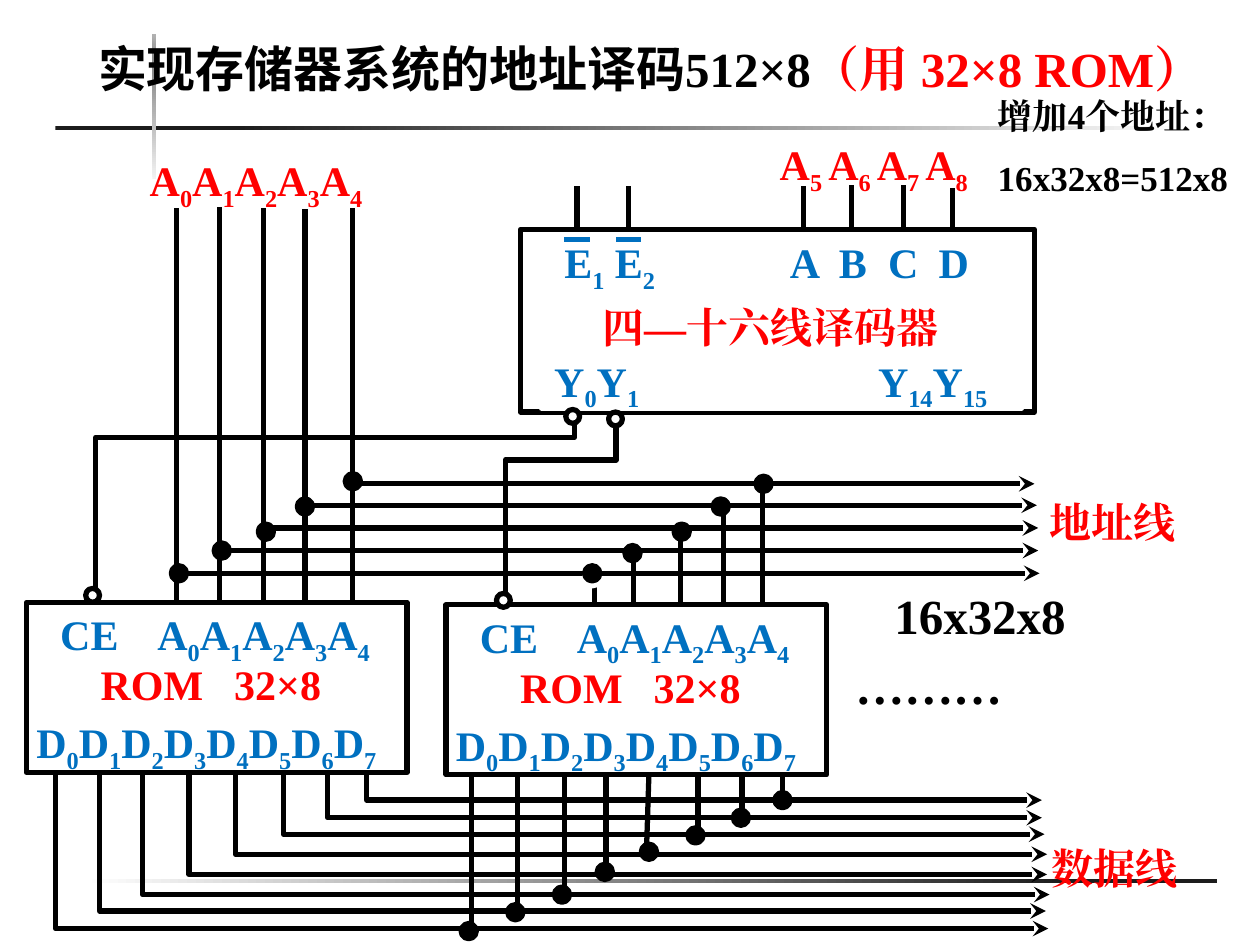
from lxml import etree
from pptx import Presentation
from pptx.dml.color import RGBColor
from pptx.enum.shapes import MSO_CONNECTOR, MSO_SHAPE
from pptx.enum.text import MSO_ANCHOR
from pptx.oxml.ns import qn
from pptx.util import Pt

PX = 9144  # 100 px to the inch
RECTANGLE, OVAL = MSO_SHAPE.RECTANGLE, MSO_SHAPE.OVAL
STRAIGHT = MSO_CONNECTOR.STRAIGHT
TOP, BOTTOM = MSO_ANCHOR.TOP, MSO_ANCHOR.BOTTOM
BLACK, WHITE, RED, BLUE = "000000", "FFFFFF", "FF0000", "0070C0"
SERIF, SANS = "Times New Roman", "Noto Sans CJK SC"

# Content: left, top, width, height, then gradient stops and angle
RULES = [
    (66, 698, 900, 3, [(0, WHITE), (87, "1C1C1C")], 0),
    (44, 100, 900, 3, [(16, "1C1C1C"), (100, WHITE)], 0),
    (121, 27, 3, 115, [(0, "F2F2F2"), (74, "8C8C8C"), (83, "8C8C8C"), (100, "B2B2B2")], 90),
]
TITLE = [("实现存储器系统的地址译码", BLACK, SANS), ("512×8", BLACK, SERIF),
         ("（用 32×8 ROM）", RED, SERIF)]

# Labels: left, top, width, height, text, size, colour, tab stops
# Every second part between bars is a subscript
DECODER = (413, 182, 408, 145)
DECODER_LABELS = [
    (468, 231, 298, 50, "四—十六线译码器", 24, RED, []),
    (438, 180, 365, 50, "E|1| E|2|\tA\tB\tC\tD", 24, BLUE, [179, 218, 257, 297]),
]
DECODER_OUTPUTS = (430, 274, 381, 50, "Y|0|Y|1|\tY|14|Y|15", 24, BLUE, [257])
MORE_ROMS = (669, 512, 161, 57, "………", 28, BLACK, [])
ROM = (21, 478, 302, 135)
ROM_LABELS = [
    (38, 475, 276, 50, "CE\tA|0|A|1|A|2|A|3|A|4", 24, BLUE, [77]),
    (70, 515, 216, 50, "ROM\t32×8", 24, RED, [106]),
    (19, 561, 310, 50, "D|0|D|1|D|2|D|3|D|4|D|5|D|6|D|7", 24, BLUE, []),
]
ROM_OFFSETS = [(0, 0), (333, 2)]
OUTER_LABELS = [
    (109, 115, 220, 50, "A|0|A|1|A|2|A|3|A|4", 24, RED, []),
    (609, 102, 194, 50, "A|5 |A|6 |A|7 |A|8", 24, RED, []),
    (823, 386, 135, 50, "地址线", 24, RED, []),
    (825, 661, 135, 50, "数据线", 24, RED, []),
    (700, 457, 221, 57, "16x32x8", 28, BLACK, []),
    (782, 67, 218, 94, "增加4个地址：\n16x32x8=512x8", 20, BLACK, []),
]

# Wiring
OVERLINES = [448, 489]
DECODER_PINS = [(458, 148), (499, 148), (638, 148), (676, 147), (717, 147), (756, 149)]
# Riser x, riser top, bus start, bus y, bus end, tap x, tap bottom
ADDRESS_WIRES = [
    (140, 165, 140, 455, 825, 472, 482),
    (174, 164, 175, 437, 824, 503, 480),
    (209, 165, 211, 419, 824, 540, 478),
    (242, 166, 242, 401, 823, 574, 482),
    (280, 165, 283, 384, 821, 605, 480),
]
# Outlet x, bus y, bus end, tap top x, tap bottom x
DATA_WIRES = [
    (291, 635, 827, 621, 621), (260, 649, 827, 589, 589),
    (225, 662, 829, 554, 554), (187, 678, 831, 515, 513),
    (150, 694, 831, 481, 481), (113, 710, 833, 448, 448),
    (79, 723, 830, 411, 411), (44, 737, 832, 374, 374),
]
SELECT_WIRES = [
    [(456, 327), (456, 347), (76, 347), (76, 476)],
    [(489, 327), (489, 365), (401, 365), (401, 482)],
]
TAP_GAP = (464, 453)
DOTS = [
    (136, 449), (170, 431), (205, 416), (236, 396), (274, 376),
    (464, 449), (496, 433), (535, 416), (566, 396), (600, 378),
    (366, 733), (403, 718), (440, 704), (474, 686),
    (509, 670), (546, 657), (582, 643), (615, 629),
]
RINGS = [(449, 325), (483, 327), (68, 467), (394, 471)]


def rgb(value):
    return RGBColor.from_string(value)


def emu(*lengths):
    return [int(length * PX) for length in lengths]


def set_line(shape, color, arrow=False):
    shape.line.color.rgb = rgb(color)
    shape.line.width = Pt(3)
    if arrow:
        etree.SubElement(shape.line._get_or_add_ln(), qn("a:tailEnd"), type="stealth")


def add_box(slide, kind, box, fill=None, line=None):
    shape = slide.shapes.add_shape(kind, *emu(*box))
    shape.shadow.inherit = False
    if fill:
        shape.fill.solid()
        shape.fill.fore_color.rgb = rgb(fill)
    else:
        shape.fill.background()
    if line:
        set_line(shape, line)
    else:
        shape.line.fill.background()
    return shape


def add_rule(slide, left, top, width, height, stops, angle):
    shape = add_box(slide, RECTANGLE, (left, top, width, height))
    shape.fill.gradient()
    shape.fill.gradient_angle = angle
    stop_list = next(shape._element.spPr.iter(qn("a:gsLst")))
    for child in list(stop_list):
        stop_list.remove(child)
    for position, color in stops:
        stop = etree.SubElement(stop_list, qn("a:gs"), pos=str(position * 1000))
        etree.SubElement(stop, qn("a:srgbClr"), val=color)


def add_wire(slide, start, end, color=BLACK, arrow=False):
    wire = slide.shapes.add_connector(STRAIGHT, *emu(*start, *end))
    set_line(wire, color, arrow)
    etree.SubElement(wire._element.spPr, qn("a:effectLst"))


def add_bent_wire(slide, points, arrow=False):
    builder = slide.shapes.build_freeform(*points[0], scale=PX)
    builder.add_line_segments(points[1:], close=False)
    shape = builder.convert_to_shape()
    shape.shadow.inherit = False
    shape.fill.background()
    set_line(shape, BLACK, arrow)


def add_run(paragraph, text, size, color, font=SERIF, subscript=False):
    run = paragraph.add_run()
    run.text = text
    formats = {"size": Pt(size), "bold": True, "name": font}
    for name, value in formats.items():
        setattr(run.font, name, value)
    run.font.color.rgb = rgb(color)
    properties = run.font._element
    etree.SubElement(properties, qn("a:ea"), typeface=font)
    if subscript:
        properties.set("baseline", "-25000")


def add_label(slide, left, top, width, height, text, size, color, tabs, outline=None):
    box = (left, top, width, height)
    if outline:
        shape = add_box(slide, RECTANGLE, box, line=outline)
    else:
        shape = slide.shapes.add_textbox(*emu(*box))
    frame = shape.text_frame
    formats = {"word_wrap": True, "vertical_anchor": TOP,
               "margin_top": 8 * PX, "margin_bottom": 2 * PX}
    for name, value in formats.items():
        setattr(frame, name, value)
    for index, line in enumerate(text.split("\n")):
        paragraph = frame.add_paragraph() if index else frame.paragraphs[0]
        properties = paragraph._p.get_or_add_pPr()
        properties.set("algn", "l")
        if index:
            paragraph.space_before = Pt(11.5)
        if tabs:
            tab_list = etree.SubElement(properties, qn("a:tabLst"))
            for position in tabs:
                etree.SubElement(tab_list, qn("a:tab"), pos=str(position * PX), algn="l")
        for part_index, part in enumerate(line.split("|")):
            add_run(paragraph, part, size, color, subscript=part_index % 2 == 1)


def main():
    presentation = Presentation()
    presentation.slide_width, presentation.slide_height = emu(1000, 750)
    slide = presentation.slides.add_slide(presentation.slide_layouts[6])

    # Background rules and title
    for rule in RULES:
        add_rule(slide, *rule)
    title = slide.shapes.add_textbox(*emu(68, 26, 947, 56)).text_frame
    title.word_wrap = True
    title.vertical_anchor = BOTTOM
    for text, color, font in TITLE:
        add_run(title.paragraphs[0], text, 28, color, font)

    # Decoder
    add_box(slide, RECTANGLE, DECODER, line=BLACK)
    add_label(slide, *DECODER_OUTPUTS, outline=WHITE)
    for label in DECODER_LABELS:
        add_label(slide, *label)
    for x in OVERLINES:
        add_wire(slide, (x, 190), (x + 20, 190), BLUE)
    for x, top in DECODER_PINS:
        add_wire(slide, (x, top + 35), (x, top))

    # ROM chips
    for dx, dy in ROM_OFFSETS:
        left, top, width, height = ROM
        add_box(slide, RECTANGLE, (left + dx, top + dy, width, height), line=BLACK)
        for left, top, *rest in ROM_LABELS:
            add_label(slide, left + dx, top + dy, *rest)
    add_label(slide, *MORE_ROMS, outline=WHITE)

    # Address, select and data wires
    for x, top, start, bus, end, tap, bottom in ADDRESS_WIRES:
        add_wire(slide, (x, 476), (x, top))
        add_wire(slide, (start, bus), (end, bus), arrow=True)
        add_wire(slide, (tap, bus), (tap, bottom))
    for points in SELECT_WIRES:
        add_bent_wire(slide, points)
    for x, bus, end, tap_top, tap_bottom in DATA_WIRES:
        add_bent_wire(slide, [(x, 614), (x, bus), (end, bus)], arrow=True)
        add_wire(slide, (tap_top, 615), (tap_bottom, bus))

    # Junction dots and inverting rings
    add_box(slide, OVAL, (*TAP_GAP, 12, 12), WHITE, WHITE)
    for dot in DOTS:
        add_box(slide, OVAL, (*dot, 12, 12), BLACK, BLACK)
    for ring in RINGS:
        add_box(slide, OVAL, (*ring, 11, 11), WHITE, BLACK)

    for label in OUTER_LABELS:
        add_label(slide, *label)
    presentation.save("out.pptx")


if __name__ == "__main__":
    main()
